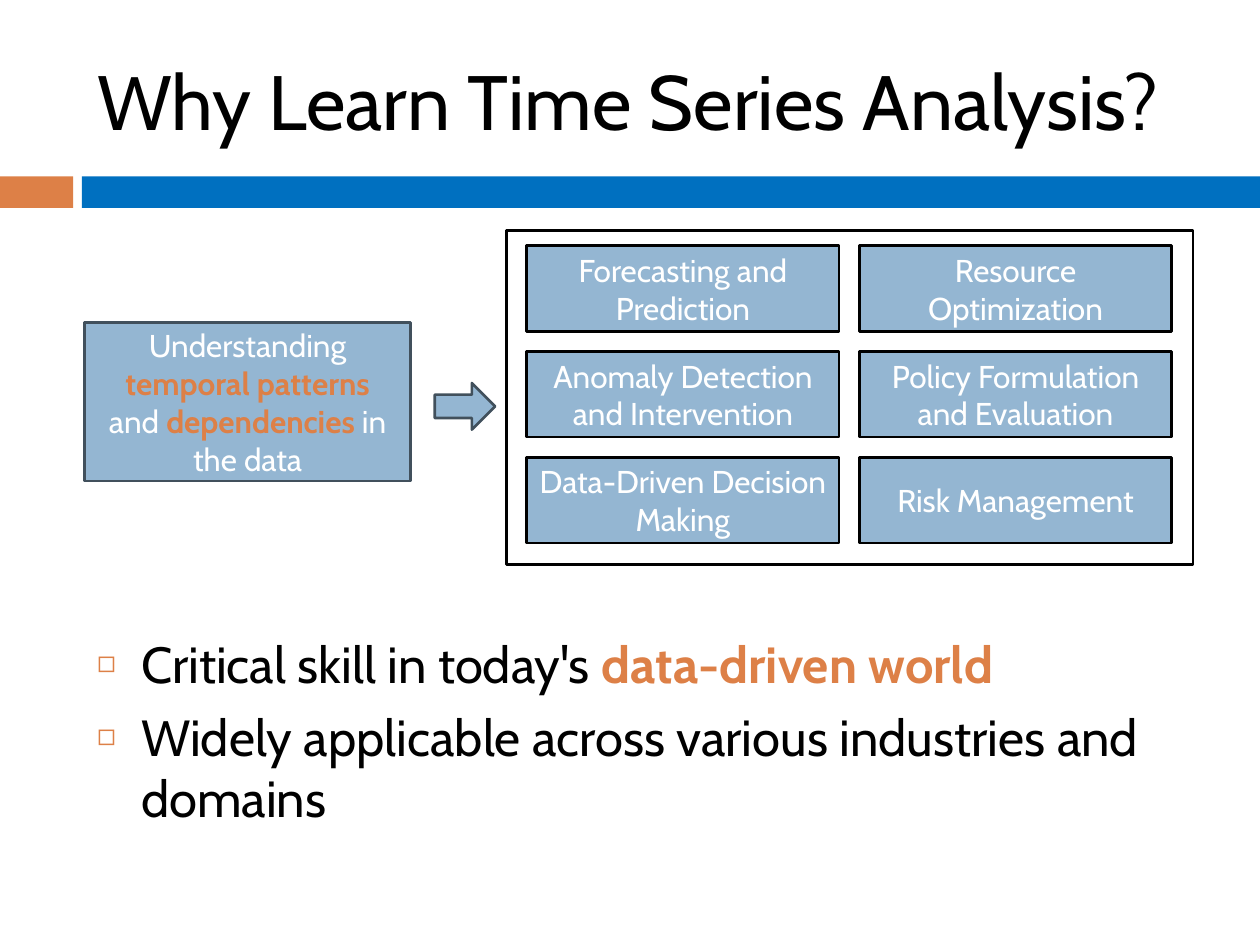
from dataclasses import dataclass
from typing import Optional

from lxml import etree
from pptx import Presentation
from pptx import util as u
from pptx.dml.color import RGBColor
from pptx.enum import shapes, text
from pptx.oxml.ns import qn

FONT = "Cabin"
BLACK = RGBColor(0x00, 0x00, 0x00)
WHITE = RGBColor(0xFF, 0xFF, 0xFF)
ORANGE = RGBColor(0xDD, 0x80, 0x47)
BLUE = RGBColor(0x00, 0x70, 0xC0)
PALE_BLUE = RGBColor(0x94, 0xB6, 0xD2)
SLATE = RGBColor(0x41, 0x50, 0x5C)

RECT = shapes.MSO_SHAPE.RECTANGLE
ARROW = shapes.MSO_SHAPE.RIGHT_ARROW

Runs = list[tuple[str, bool]]


@dataclass(frozen=True)
class Box:
    left: float
    top: float
    width: float
    height: float

    def emu(self) -> list[int]:
        return [u.Inches(v) for v in (self.left, self.top, self.width, self.height)]


@dataclass(frozen=True)
class Grid:
    left: float
    top: float
    col_step: float
    row_step: float
    cell_width: float
    cell_height: float

    def cell(self, col: int, row: int) -> Box:
        return Box(self.left + col * self.col_step, self.top + row * self.row_step,
                   self.cell_width, self.cell_height)


BENEFIT_GRID = Grid(4.18, 1.95, 2.64, 0.84, 2.48, 0.68)
BENEFITS = [
    ["Forecasting and Prediction", "Anomaly Detection and Intervention",
     "Data-Driven Decision Making"],
    ["Resource Optimization", "Policy Formulation and Evaluation",
     "Risk Management"],
]
UNDERSTANDING: Runs = [
    ("Understanding ", False), ("temporal patterns", True), (" and ", False),
    ("dependencies", True), (" in the data", False),
]
BULLETS: list[Runs] = [
    [("Critical skill in today's ", False), ("data-driven world", True)],
    [("Widely applicable across various industries and domains", False)],
]


def place(sp, box: Box) -> None:
    sp.left, sp.top, sp.width, sp.height = box.emu()


def add_runs(p, runs: Runs, size: float, color: RGBColor) -> None:
    for words, strong in runs:
        r = p.add_run()
        r.text = words
        r.font.name = FONT
        r.font.size = u.Pt(size)
        r.font.bold = strong
        r.font.color.rgb = ORANGE if strong else color


def add_block(s, box: Box, fill: Optional[RGBColor], line: Optional[RGBColor] = None,
              runs: Optional[Runs] = None, kind=RECT) -> None:
    sp = s.shapes.add_shape(kind, *box.emu())
    sp.shadow.inherit = False
    if fill is None:
        sp.fill.background()
    else:
        sp.fill.solid()
        sp.fill.fore_color.rgb = fill
    if line is None:
        sp.line.fill.background()
    else:
        sp.line.color.rgb = line
        sp.line.width = u.Pt(1.5)
    if runs:
        tf = sp.text_frame
        tf.word_wrap = True
        tf.vertical_anchor = text.MSO_ANCHOR.MIDDLE
        p = tf.paragraphs[0]
        p.alignment = text.PP_ALIGN.CENTER
        add_runs(p, runs, 18, WHITE)


def set_bullet(p, char: str, indent: float) -> None:
    pPr = p._p.get_or_add_pPr()
    pPr.set("marL", str(u.Inches(indent)))
    pPr.set("indent", str(-u.Inches(indent)))
    clr = etree.SubElement(pPr, qn("a:buClr"))
    etree.SubElement(clr, qn("a:srgbClr"), val=str(ORANGE))
    etree.SubElement(pPr, qn("a:buSzPct"), val="60000")
    etree.SubElement(pPr, qn("a:buChar"), char=char)


def fill_title(sp) -> None:
    place(sp, Box(0.67, 0.25, 8.92, 1.08))
    tf = sp.text_frame
    tf.auto_size = text.MSO_AUTO_SIZE.NONE
    tf.vertical_anchor = text.MSO_ANCHOR.MIDDLE
    p = tf.paragraphs[0]
    p.alignment = text.PP_ALIGN.LEFT
    add_runs(p, [("Why Learn Time Series Analysis?", False)], 44, BLACK)


def fill_body(sp) -> None:
    place(sp, Box(0.67, 4.97, 8.92, 1.7))
    tf = sp.text_frame
    tf.auto_size = text.MSO_AUTO_SIZE.NONE
    for i, runs in enumerate(BULLETS):
        p = tf.add_paragraph() if i else tf.paragraphs[0]
        set_bullet(p, "◻", 0.35)
        p.space_before = u.Pt(7 if i else 0)
        add_runs(p, runs, 29, BLACK)


def main() -> None:
    prs = Presentation()
    prs.slide_width, prs.slide_height = u.Inches(10), u.Inches(7.5)
    s = prs.slides.add_slide(prs.slide_layouts[1])
    fill_title(s.shapes.title)
    fill_body(s.placeholders[1])

    add_block(s, Box(0, 1.4, 0.58, 0.25), ORANGE)
    add_block(s, Box(0.65, 1.4, 9.35, 0.25), BLUE)
    add_block(s, Box(4.02, 1.83, 5.45, 2.65), None, BLACK)
    add_block(s, Box(0.67, 2.56, 2.59, 1.26), PALE_BLUE, SLATE, UNDERSTANDING)
    for col, labels in enumerate(BENEFITS):
        for row, label in enumerate(labels):
            add_block(s, BENEFIT_GRID.cell(col, row), PALE_BLUE, BLACK, [(label, False)])
    add_block(s, Box(3.45, 3.04, 0.48, 0.37), PALE_BLUE, SLATE, kind=ARROW)

    prs.save("out.pptx")


if __name__ == "__main__":
    main()
